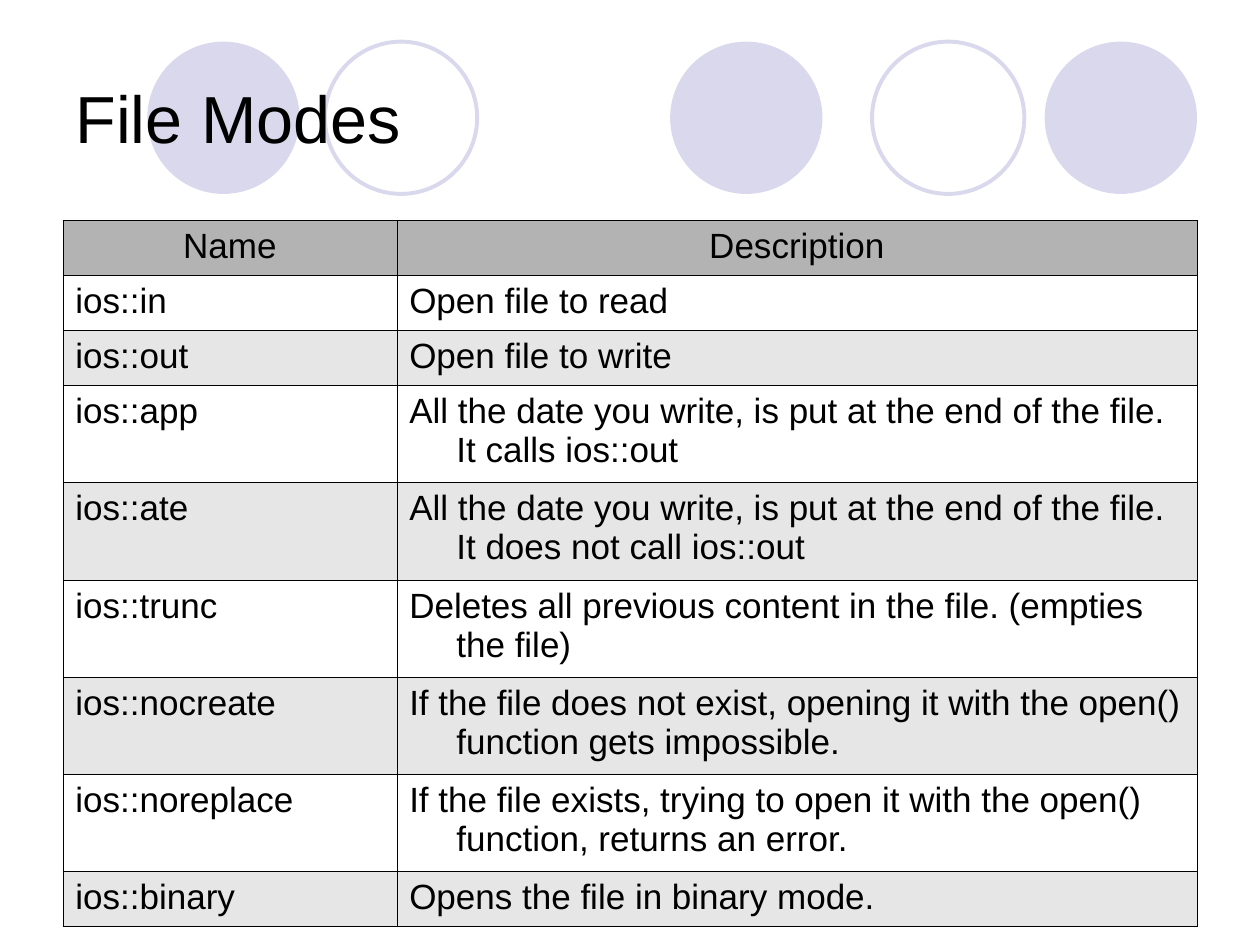
"""Build a slide with a table of file modes under a row of circles."""
from dataclasses import dataclass

from lxml import etree
from pptx import Presentation
from pptx.dml.color import RGBColor
from pptx.enum.shapes import MSO_SHAPE
from pptx.enum.text import MSO_ANCHOR, MSO_AUTO_SIZE, PP_ALIGN
from pptx.oxml import parse_xml
from pptx.oxml.ns import nsdecls
from pptx.util import Cm, Pt

OVAL = MSO_SHAPE.OVAL
MIDDLE, TOP = MSO_ANCHOR.MIDDLE, MSO_ANCHOR.TOP
LEFT, CENTER = PP_ALIGN.LEFT, PP_ALIGN.CENTER
FIXED = MSO_AUTO_SIZE.NONE

RINGS = [(13.51, True), (21.06, True), (2.97, True), (17.58, False), (6.55, False)]
MODES = [
    ("Name", "Description"),
    ("ios::in", "Open file to read"),
    ("ios::out", "Open file to write"),
    ("ios::app", "All the date you write, is put at the end of the file. It calls ios::out"),
    ("ios::ate", "All the date you write, is put at the end of the file. It does not call ios::out"),
    ("ios::trunc", "Deletes all previous content in the file. (empties the file)"),
    ("ios::nocreate", "If the file does not exist, opening it with the open() function gets impossible."),
    ("ios::noreplace", "If the file exists, trying to open it with the open() function, returns an error."),
    ("ios::binary", "Opens the file in binary mode."),
]
WIDTHS = (6.73, 16.13)
SHORT, TALL = 1.11, 1.96
WRAP = 50


@dataclass(frozen=True)
class Theme:
    """Hold the colours and type sizes."""
    font: str = "Arial"
    ink: str = "000000"
    ring: str = "D9D8EC"
    head: str = "B3B3B3"
    band: str = "E6E6E6"
    title: float = 38
    body: float = 20
    edge: float = 2.25
    rule: float = 0.45


def apply(item, values):
    """Set each named value on an item."""
    for name, value in values.items():
        setattr(item, name, value)


class Deck:
    """Draw styled elements on the current slide."""

    def __init__(self, theme, slide):
        """Keep the theme and the slide."""
        self.theme, self.slide = theme, slide

    def label(self, frame, text, size, align):
        """Put one styled paragraph in a text frame."""
        para = frame.paragraphs[0]
        para.alignment = align
        run = para.add_run()
        run.text = text
        apply(run.font, {"name": self.theme.font, "size": Pt(size)})
        run.font.color.rgb = RGBColor.from_string(self.theme.ink)
        return para

    def circle(self, left, top, size, solid):
        """Add a filled disc or an open ring."""
        shape = self.slide.shapes.add_shape(OVAL, Cm(left), Cm(top), Cm(size), Cm(size))
        shape.shadow.inherit = False
        paint, blank = (shape.fill, shape.line.fill) if solid else (shape.line.fill, shape.fill)
        paint.solid()
        paint.fore_color.rgb = RGBColor.from_string(self.theme.ring)
        blank.background()
        if not solid:
            shape.line.width = Pt(self.theme.edge)

    def title(self, text, left, top, width, height):
        """Place the title in front of the circles."""
        shape = self.slide.shapes.title
        apply(shape, {"left": Cm(left), "top": Cm(top), "width": Cm(width), "height": Cm(height)})
        frame = shape.text_frame
        apply(frame, {"word_wrap": True, "auto_size": FIXED, "vertical_anchor": MIDDLE})
        self.label(frame, text, self.theme.title, LEFT)
        self.slide.shapes.element.append(shape.element)

    def border(self, props):
        """Rule all four sides of a cell."""
        for side in ("lnL", "lnR", "lnT", "lnB"):
            line = parse_xml(f'<a:{side} {nsdecls("a")} w="{int(Pt(self.theme.rule))}"/>')
            fill = etree.SubElement(line, line.tag.replace(side, "solidFill"))
            etree.SubElement(fill, line.tag.replace(side, "srgbClr"), val=self.theme.ink)
            props.append(line)

    def cell(self, cell, text, fill, align):
        """Fill one table cell with hanging text."""
        apply(cell, {"margin_left": Cm(0.25), "margin_right": Cm(0.25), "margin_top": Cm(0.13),
                     "margin_bottom": Cm(0.13), "vertical_anchor": TOP})
        self.border(cell._tc.get_or_add_tcPr())
        if fill:
            cell.fill.solid()
            cell.fill.fore_color.rgb = RGBColor.from_string(fill)
        else:
            cell.fill.background()
        para = self.label(cell.text_frame, text, self.theme.body, align)
        props = para._p.get_or_add_pPr()
        props.set("marL", str(int(Cm(0.95))))
        props.set("indent", str(-int(Cm(0.95))))

    def table(self, rows, widths, left, top):
        """Add a banded table with a header row."""
        tall = [TALL if len(row[-1]) > WRAP else SHORT for row in rows]
        frame = self.slide.shapes.add_table(
            len(rows), len(widths), Cm(left), Cm(top), Cm(sum(widths)), Cm(sum(tall)))
        grid = frame.table
        apply(grid, {"first_row": False, "horz_banding": False})
        for col, width in zip(grid.columns, widths):
            col.width = Cm(width)
        for r, row in enumerate(rows):
            grid.rows[r].height = Cm(tall[r])
            band = None if r % 2 else self.theme.band
            fill, align = (band, LEFT) if r else (self.theme.head, CENTER)
            for c, text in enumerate(row):
                self.cell(grid.cell(r, c), text, fill, align)


def main():
    """Build and save the slide."""
    show = Presentation()
    apply(show, {"slide_width": Cm(25.4), "slide_height": Cm(19.05)})
    deck = Deck(Theme(), show.slides.add_slide(show.slide_layouts[5]))
    for left, solid in RINGS:
        deck.circle(left, 0.84, 3.07, solid)
    deck.title("File Modes", 1.27, 0.76, 22.86, 3.18)
    deck.table(MODES, WIDTHS, 1.27, 4.44)
    show.save("out.pptx")


if __name__ == "__main__":
    main()
